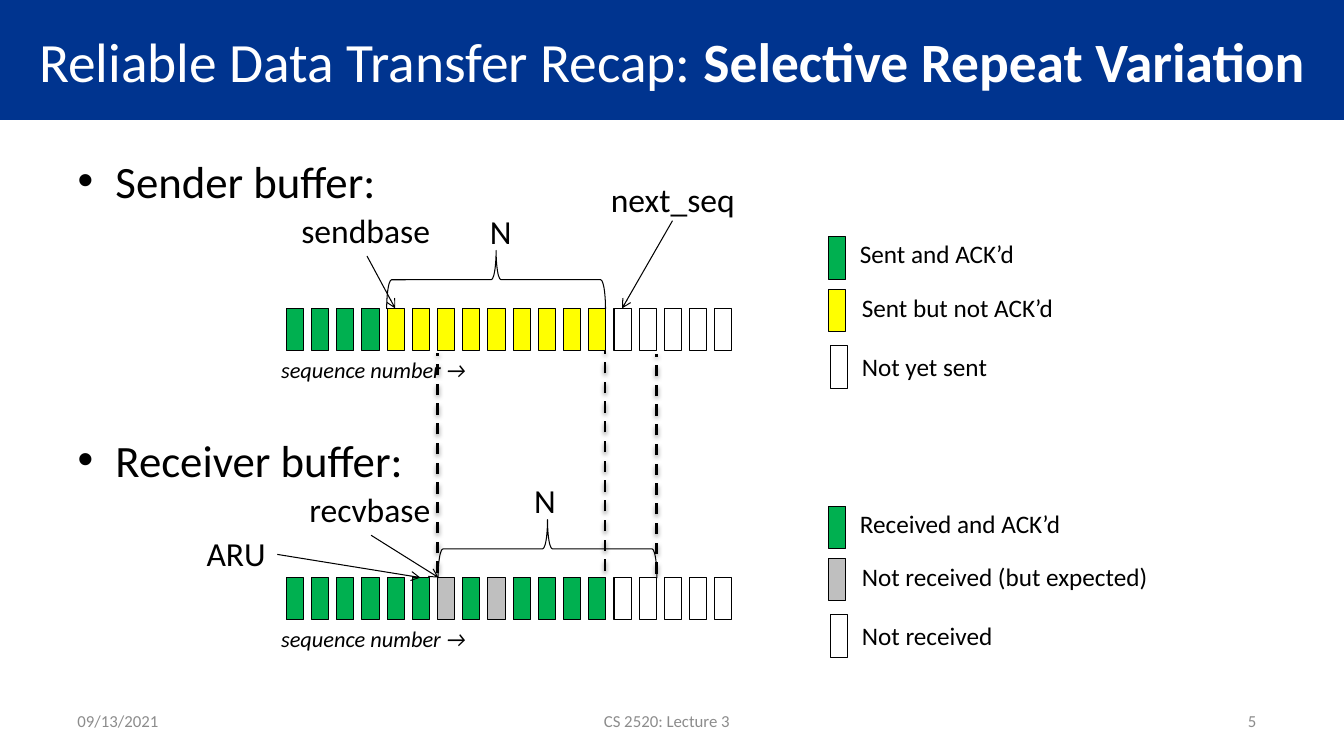
from lxml.etree import SubElement
from pptx import Presentation
from pptx.dml.color import RGBColor
from pptx.enum.dml import MSO_LINE
from pptx.enum.shapes import MSO_CONNECTOR, MSO_SHAPE
from pptx.enum.text import MSO_ANCHOR, MSO_AUTO_SIZE, PP_ALIGN
from pptx.oxml.ns import qn
from pptx.util import Inches, Pt

BLUE = RGBColor(0x00, 0x34, 0x8F)
GREEN = RGBColor(0x00, 0xB0, 0x50)
YELLOW = RGBColor(0xFF, 0xFF, 0x00)
SILVER = RGBColor(0xBF, 0xBF, 0xBF)
GRAY = RGBColor(0x8C, 0x8C, 0x8C)
WHITE = RGBColor(0xFF, 0xFF, 0xFF)
BLACK = RGBColor(0x00, 0x00, 0x00)

CELL_COLORS = {"G": GREEN, "Y": YELLOW, "S": SILVER, "W": WHITE}
CELL_LEFT, CELL_STEP, CELL_WIDTH, CELL_HEIGHT = 2.84, 0.25, 0.17, 0.42
SENDER_TOP, RECEIVER_TOP = 3.06, 5.73
LEGEND_ROWS = [(8.22, -0.71, 8.43, -0.74), (8.22, -0.19, 8.45, -0.21), (8.24, 0.37, 8.45, 0.38)]


class BufferSlide:
    """Draws the elements of one slide in a shared style."""

    def __init__(self, page, font_name="Calibri"):
        self.page = page
        self.font_name = font_name

    def apply(self, target, values):
        for name, value in values.items():
            setattr(target, name, value)

    def place(self, shape, left, top, width, height):
        self.apply(shape, {"left": Inches(left), "top": Inches(top),
                           "width": Inches(width), "height": Inches(height)})

    def add_span(self, para, text, size, color=BLACK, **values):
        span = para.add_run()
        span.text = text
        self.apply(span.font, {"name": self.font_name, "size": Pt(size), **values})
        span.font.color.rgb = color

    def title(self, plain, strong):
        title = self.page.shapes.title
        self.place(title, 0, 0, 13.33, 1.19)
        title.fill.solid()
        title.fill.fore_color.rgb = BLUE
        self.apply(title.text_frame, {"auto_size": MSO_AUTO_SIZE.NONE, "word_wrap": True,
                                      "vertical_anchor": MSO_ANCHOR.MIDDLE})
        para = title.text_frame.paragraphs[0]
        para.alignment = PP_ALIGN.CENTER
        self.add_span(para, plain, 39.6, WHITE)
        self.add_span(para, strong, 39.6, WHITE, bold=True)

    def heading(self, index, text, top):
        body = self.page.placeholders[index]
        self.place(body, 0.67, top, 12, 0.72)
        body.text_frame.auto_size = MSO_AUTO_SIZE.NONE
        self.add_span(body.text_frame.paragraphs[0], text, 32)

    def label(self, text, left, top, width, height=0.5, size=24, color=BLACK,
              wrap=False, align=PP_ALIGN.LEFT, anchor=MSO_ANCHOR.TOP, **values):
        box = self.page.shapes.add_textbox(Inches(left), Inches(top), Inches(width), Inches(height))
        self.apply(box.text_frame, {"word_wrap": wrap, "vertical_anchor": anchor})
        para = box.text_frame.paragraphs[0]
        para.alignment = align
        self.add_span(para, text, size, color, **values)

    def footer(self, text, left, width, align):
        self.label(text, left, 6.95, width, 0.4, 12, GRAY, True, align, MSO_ANCHOR.MIDDLE)

    def outline(self, shape):
        shape.shadow.inherit = False
        shape.line.color.rgb = BLACK
        shape.line.width = Pt(0.75)

    def cell(self, left, top, color):
        cell = self.page.shapes.add_shape(MSO_SHAPE.RECTANGLE, Inches(left), Inches(top),
                                          Inches(CELL_WIDTH), Inches(CELL_HEIGHT))
        cell.fill.solid()
        cell.fill.fore_color.rgb = color
        self.outline(cell)

    def buffer(self, top, codes):
        for index, code in enumerate(codes):
            self.cell(CELL_LEFT + index * CELL_STEP, top, CELL_COLORS[code])
        self.label("sequence number →", 2.69, top + CELL_HEIGHT, 2.89, 0.37, 16,
                   wrap=True, italic=True)

    def window(self, top, brace_left, label_left):
        brace = self.page.shapes.add_shape(MSO_SHAPE.LEFT_BRACE, Inches(brace_left),
                                           Inches(top - 1.37), Inches(0.58), Inches(2.17))
        brace.rotation = 90
        brace.fill.background()
        self.outline(brace)
        self.label("N", label_left, top - 1.02, 0.42)

    def legend(self, top, entries):
        for row, (color, text, width) in zip(LEGEND_ROWS, entries):
            cell_left, cell_offset, text_left, text_offset = row
            self.cell(cell_left, top + cell_offset, color)
            self.label(text, text_left, top + text_offset, width, 0.4, 18)

    def connector(self, start, end, width):
        connector = self.page.shapes.add_connector(
            MSO_CONNECTOR.STRAIGHT, *(Inches(value) for value in (*start, *end)))
        connector.line.color.rgb = BLACK
        connector.line.width = Pt(width)
        properties = connector._element.spPr
        return connector, SubElement(properties, qn("a:effectLst"))

    def arrow(self, start, end):
        connector, _ = self.connector(start, end, 0.75)
        outline = connector._element.spPr.find(qn("a:ln"))
        SubElement(outline, qn("a:tailEnd"), type="arrow")

    def guide(self, left, bottom, top):
        connector, effects = self.connector((left, bottom), (left, top), 2)
        connector.line.dash_style = MSO_LINE.DASH
        shadow = SubElement(effects, qn("a:outerShdw"), blurRad="40000", dist="20000",
                            dir="5400000", rotWithShape="0")
        color = SubElement(shadow, qn("a:srgbClr"), val=str(BLACK))
        SubElement(color, qn("a:alpha"), val="38000")


def main():
    deck = Presentation()
    deck.slide_width, deck.slide_height = Inches(13.33), Inches(7.5)
    slide = BufferSlide(deck.slides.add_slide(deck.slide_layouts[3]))

    slide.title("Reliable Data Transfer Recap: ", "Selective Repeat Variation")
    slide.heading(1, "Sender buffer:", 1.47)
    slide.heading(2, "Receiver buffer:", 4.24)
    slide.footer("09/13/2021", 0.67, 1.64, PP_ALIGN.LEFT)
    slide.footer("CS 2520: Lecture 3", 2.05, 9.13, PP_ALIGN.CENTER)
    slide.footer("5", 11.17, 1.39, PP_ALIGN.RIGHT)

    slide.buffer(RECEIVER_TOP, "GGGGGGSGSGGGGWWWWW")
    slide.window(RECEIVER_TOP, 5.14, 5.2)
    slide.legend(RECEIVER_TOP, [(GREEN, "Received and ACK’d", 2.21),
                                (SILVER, "Not received (but expected)", 3.07),
                                (WHITE, "Not received", 1.51)])
    slide.buffer(SENDER_TOP, "GGGGYYYYYYYYYWWWWW")
    slide.window(SENDER_TOP, 4.63, 4.76)
    slide.legend(SENDER_TOP, [(GREEN, "Sent and ACK’d", 1.75),
                              (YELLOW, "Sent but not ACK’d", 2.34),
                              (WHITE, "Not yet sent", 1.46)])

    for left, bottom, top in [(4.34, 5.68, 3.5), (6.51, 5.69, 3.51), (6, 5.66, 3.48)]:
        slide.guide(left, bottom, top)

    pointers = [
        ("next_seq", 5.96, 1.73, 1.45, (6.67, 2.19), (6.17, SENDER_TOP)),
        ("recvbase", 2.97, 4.8, 1.42, (3.68, 5.31), (4.35, RECEIVER_TOP)),
        ("sendbase", 2.89, 2.03, 1.49, (3.64, 2.54), (3.92, SENDER_TOP)),
        ("ARU", 1.95, 5.24, 0.79, (2.75, 5.5), (4.17, RECEIVER_TOP)),
    ]
    for text, left, top, width, start, end in pointers:
        slide.label(text, left, top, width)
        slide.arrow(start, end)

    deck.save("out.pptx")


if __name__ == "__main__":
    main()
